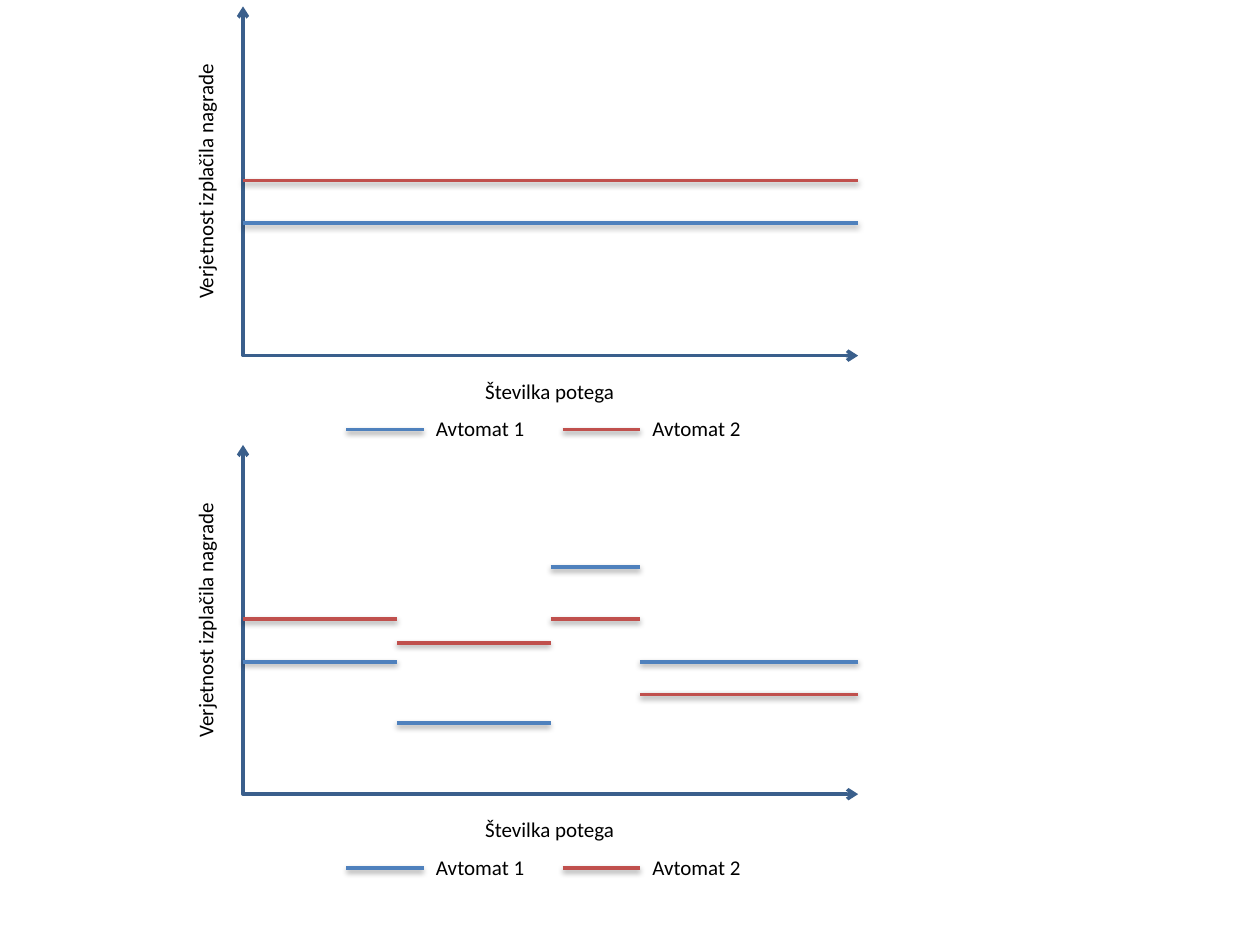
"""Build a slide with two reward-probability diagrams, one steady and one changing."""
from dataclasses import dataclass

from lxml.etree import SubElement
from pptx import Presentation
from pptx.dml.color import RGBColor
from pptx.enum.shapes import MSO_CONNECTOR
from pptx.enum.text import MSO_ANCHOR, MSO_AUTO_SIZE, PP_ALIGN
from pptx.oxml import parse_xml
from pptx.oxml.ns import nsdecls, qn
from pptx.util import Cm, Pt


@dataclass(frozen=True)
class Theme:
    axis: RGBColor = RGBColor(0x3A, 0x5F, 0x8C)
    machine_1: RGBColor = RGBColor(0x4F, 0x81, 0xBD)
    machine_2: RGBColor = RGBColor(0xC0, 0x50, 0x4D)
    text: RGBColor = RGBColor(0, 0, 0)
    font: str = "Calibri"
    size: Pt = Pt(12)
    stroke: Pt = Pt(2)


THEME = Theme()
REWARD_LABEL = "Verjetnost izplačila nagrade"
PULL_LABEL = "Številka potega"
MACHINES = [("Avtomat 1", THEME.machine_1), ("Avtomat 2", THEME.machine_2)]

AXIS_LEFT, AXIS_RIGHT, AXIS_HEIGHT = 4.9, 17.3, 7.04
DIAGRAM_TOP, DIAGRAM_PITCH = 0.13, 8.84
LEGEND_LEFT, LEGEND_PITCH, LEGEND_STROKE, LEGEND_DROP = 6.98, 4.36, 1.56, 8.53
LABEL_HEIGHT = 0.77

# Each phase: start, end, depth of machine 1, depth of machine 2
DIAGRAMS = [
    [(AXIS_LEFT, AXIS_RIGHT, 4.37, 3.51)],
    [
        (AXIS_LEFT, 8.0, 4.37, 3.51),
        (8.0, 11.1, 5.61, 3.99),
        (11.1, 12.9, 2.46, 3.51),
        (12.9, AXIS_RIGHT, 4.37, 5.03),
    ],
]


def add_axes(shapes, top):
    bottom = top + AXIS_HEIGHT
    builder = shapes.build_freeform(Cm(AXIS_LEFT), Cm(top))
    corners = [(AXIS_LEFT, bottom), (AXIS_RIGHT, bottom)]
    builder.add_line_segments([(Cm(x), Cm(y)) for x, y in corners], close=False)
    axes = builder.convert_to_shape()
    axes.fill.background()
    axes.line.color.rgb = THEME.axis
    axes.line.width = THEME.stroke
    axes.shadow.inherit = False
    outline = axes.element.spPr.find(qn("a:ln"))
    for end in ("a:headEnd", "a:tailEnd"):
        SubElement(outline, qn(end), type="arrow")


def add_level(shapes, start, end, y, color):
    level = shapes.add_connector(MSO_CONNECTOR.STRAIGHT, Cm(start), Cm(y), Cm(end), Cm(y))
    level.line.color.rgb = color
    level.line.width = THEME.stroke
    level.element.spPr.append(parse_xml(
        f'<a:effectLst {nsdecls("a")}>'
        '<a:outerShdw blurRad="40000" dist="20000" dir="5400000" rotWithShape="0">'
        '<a:srgbClr val="000000"><a:alpha val="38000"/></a:srgbClr>'
        '</a:outerShdw></a:effectLst>'))


def add_label(shapes, text, left, top, width, align=PP_ALIGN.LEFT, rotation=0):
    label = shapes.add_textbox(Cm(left), Cm(top), Cm(width), Cm(LABEL_HEIGHT))
    label.rotation = rotation
    frame = label.text_frame
    frame.word_wrap = False
    frame.auto_size = MSO_AUTO_SIZE.SHAPE_TO_FIT_TEXT
    frame.vertical_anchor = MSO_ANCHOR.TOP
    paragraph = frame.paragraphs[0]
    paragraph.alignment = align
    run = paragraph.add_run()
    run.text = text
    run.font.name = THEME.font
    run.font.size = THEME.size
    run.font.color.rgb = THEME.text


def add_legend(shapes, top):
    legend = shapes.add_group_shape().shapes
    y = top + LEGEND_DROP
    for index, (machine, color) in enumerate(MACHINES):
        start = LEGEND_LEFT + index * LEGEND_PITCH
        end = start + LEGEND_STROKE
        add_level(legend, start, end, y, color)
        add_label(legend, machine, end, y - 0.4, 2.31)


def add_diagram(shapes, top, phases):
    add_axes(shapes, top)
    for start, end, *depths in phases:
        for (_, color), depth in zip(MACHINES, depths):
            add_level(shapes, start, end, top + depth, color)
    add_label(shapes, REWARD_LABEL, 1.5, top + 3.12, 5.28, rotation=270)
    add_label(shapes, PULL_LABEL, 9.52, top + 7.37, 3.12, PP_ALIGN.CENTER)
    add_legend(shapes, top)


presentation = Presentation()
presentation.slide_width, presentation.slide_height = Cm(25.4), Cm(19.05)
slide = presentation.slides.add_slide(presentation.slide_layouts[6])
for index, phases in enumerate(DIAGRAMS):
    add_diagram(slide.shapes, DIAGRAM_TOP + index * DIAGRAM_PITCH, phases)
presentation.save("out.pptx")
